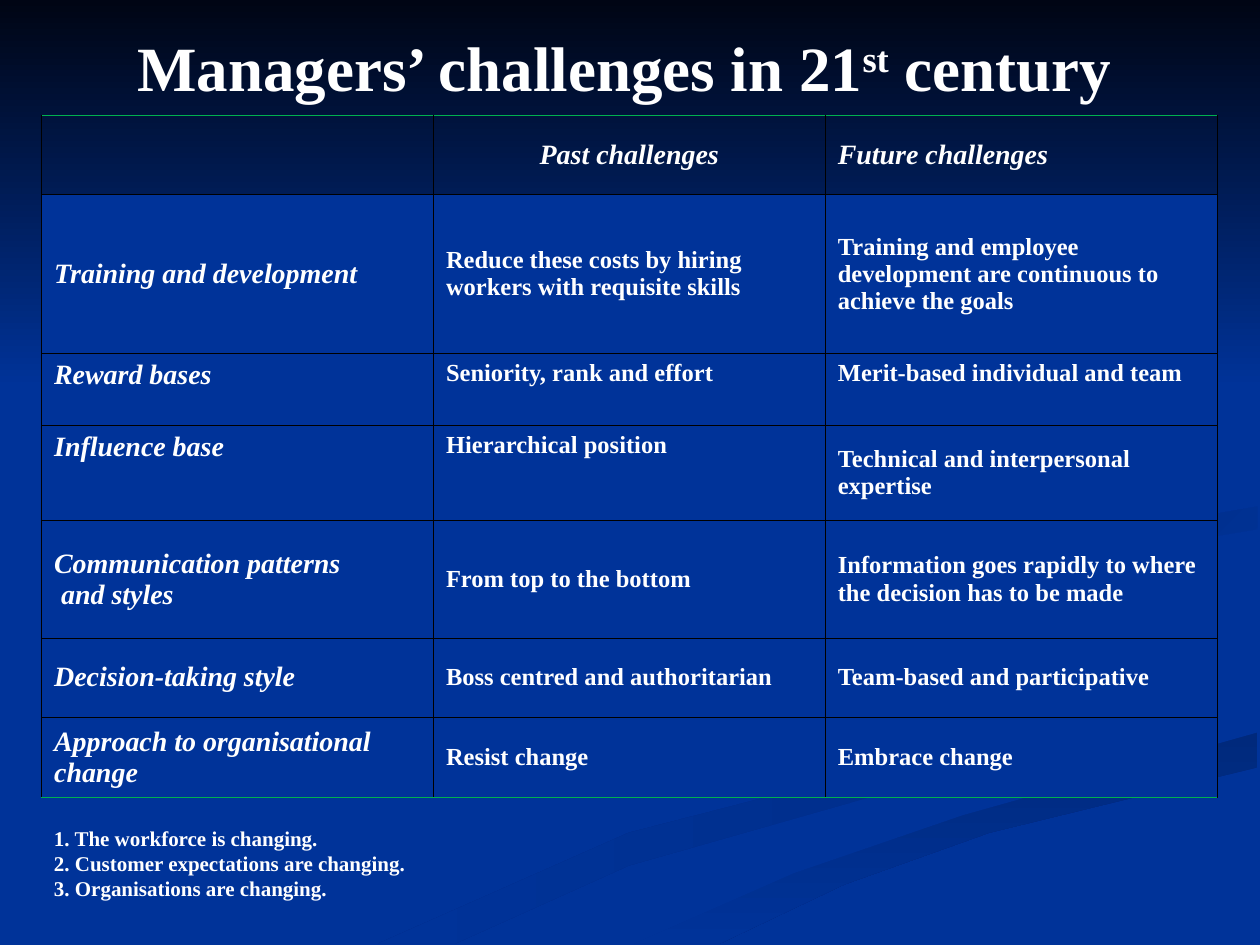
from dataclasses import dataclass

from lxml.etree import SubElement
from pptx import Presentation
from pptx.dml.color import RGBColor
from pptx.enum.shapes import MSO_SHAPE
from pptx.enum.text import MSO_ANCHOR, PP_ALIGN
from pptx.oxml.ns import qn
from pptx.util import Inches, Pt


@dataclass(frozen=True)
class Theme:
    font: str = "Times New Roman"
    blue: str = "003399"
    night: str = "000514"
    shade: str = "002E8A"
    deep: str = "00297C"
    dusk: str = "002B81"
    white: str = "FFFFFF"
    black: str = "000000"
    green: str = "00B04F"
    title: int = 36
    label: int = 16
    body: int = 14
    note: int = 12
    inner: float = 0.34
    outer: float = 0.45


T = Theme()
MARGIN = 0.033
COLUMN = 0.311
ROWS = (0.084, 0.168, 0.076, 0.101, 0.124, 0.084, 0.085)
TOP_CELLS = {(2, 0), (2, 1), (2, 2), (3, 0), (3, 1)}

CELLS = (
    ("", "Past challenges", "Future challenges"),
    ("Training and development",
     "Reduce these costs by hiring workers with requisite skills",
     "Training and employee development are continuous to achieve the goals"),
    ("Reward bases", "Seniority, rank and effort", "Merit-based individual and team"),
    ("Influence base", "Hierarchical position", "Technical and interpersonal expertise"),
    ("Communication patterns\n and styles", "From top to the bottom",
     "Information goes rapidly to where the decision has to be made"),
    ("Decision-taking style", "Boss centred and authoritarian",
     "Team-based and participative"),
    ("Approach to organisational change", "Resist change", "Embrace change"),
)
NOTES = ("1. The workforce is changing.\n2. Customer expectations are changing.\n"
         "3. Organisations are changing.")

RIBBONS = (
    (T.shade, T.blue, 180, (
        (781, 553), (575, 459), (594, 491), (786, 566), (727, 602), (499, 661),
        (300, 749), (361, 749), (499, 687), (756, 614), (800, 581))),
    (T.shade, T.blue, 225, (
        (943, 570), (905, 540), (774, 503), (724, 464), (766, 512), (900, 557),
        (894, 605))),
    (T.deep, T.blue, 90, (
        (503, 749), (571, 749), (670, 702), (785, 661), (998, 609), (998, 581),
        (764, 647), (630, 693))),
    (T.blue, T.blue, 0, (
        (725, 464), (774, 503), (931, 553), (926, 593), (663, 668), (477, 749),
        (503, 749), (630, 693), (764, 647), (999, 581), (999, 538), (781, 463),
        (999, 402), (999, 387), (742, 439))),
    (T.blue, T.dusk, 225, (
        (781, 460), (826, 496), (805, 474), (859, 443), (998, 420), (998, 402),
        (821, 433))),
    (T.blue, T.dusk, 225, (
        (683, 430), (855, 391), (894, 344), (843, 275), (762, 233), (870, 299),
        (882, 354), (625, 426), (577, 462), (622, 500), (593, 470))),
)


def color(value):
    return RGBColor.from_string(value)


def area(prs, left, top, width, height):
    return (int(left * prs.slide_width), int(top * prs.slide_height),
            int(width * prs.slide_width), int(height * prs.slide_height))


def paint(sp, start, end, angle):
    sp.shadow.inherit = False
    sp.line.fill.background()
    if start == end:
        sp.fill.solid()
        sp.fill.fore_color.rgb = color(start)
        return
    sp.fill.gradient()
    sp.fill.gradient_angle = 360 - angle
    for stop, position, value in zip(sp.fill.gradient_stops, (0, 1), (start, end)):
        stop.position = position
        stop.color.rgb = color(value)


def add_ribbon(prs, slide, start, end, angle, points):
    builder = slide.shapes.build_freeform(*points[0], scale=prs.slide_width / 1000)
    builder.add_line_segments(points[1:])
    paint(builder.convert_to_shape(), start, end, angle)


def style(p, size, italic=False, align=PP_ALIGN.LEFT):
    p.alignment = align
    p.font.name = T.font
    p.font.size = Pt(size)
    p.font.bold = True
    p.font.italic = italic
    p.font.color.rgb = color(T.white)


def write(tf, text, size, **options):
    tf.word_wrap = True
    for i, line in enumerate(text.split("\n")):
        p = tf.paragraphs[0] if i == 0 else tf.add_paragraph()
        p.add_run().text = line
        style(p, size, **options)


def add_text(prs, slide, box, text, size, anchor=MSO_ANCHOR.TOP, **options):
    tf = slide.shapes.add_textbox(*area(prs, *box)).text_frame
    tf.vertical_anchor = anchor
    write(tf, text, size, **options)
    return tf


def add_title(prs, slide):
    tf = add_text(prs, slide, (MARGIN, -0.016, 0.925, 0.173),
                  "Managers’ challenges in 21", T.title,
                  MSO_ANCHOR.MIDDLE, align=PP_ALIGN.CENTER)
    p = tf.paragraphs[0]
    r = p.add_run()
    r.text = "st"
    r._r.get_or_add_rPr().set("baseline", "30000")
    p.add_run().text = " century"


def add_border(cell, side, value, width):
    ln = SubElement(cell._tc.get_or_add_tcPr(), qn(f"a:ln{side}"), w=str(Pt(width)))
    fill = SubElement(ln, qn("a:solidFill"))
    SubElement(fill, qn("a:srgbClr"), val=value)


def fill_cell(cell, row, col, text):
    last = len(CELLS) - 1
    for side in "LRTB":
        edge = (side, row) in (("T", 0), ("B", last))
        header = (side, row) in (("B", 0), ("T", 1))
        add_border(cell, side, T.green if edge else T.black,
                   T.outer if edge or header else T.inner)
    if row:
        cell.fill.solid()
        cell.fill.fore_color.rgb = color(T.blue)
    else:
        cell.fill.background()
    top = (row, col) in TOP_CELLS
    cell.vertical_anchor = MSO_ANCHOR.TOP if top else MSO_ANCHOR.MIDDLE
    heading = row == 0 or col == 0
    centred = (row, col) == (0, 1)
    if text:
        write(cell.text_frame, text, T.label if heading else T.body, italic=heading,
              align=PP_ALIGN.CENTER if centred else PP_ALIGN.LEFT)


def add_challenges(prs, slide):
    box = area(prs, MARGIN, 0.122, 3 * COLUMN, sum(ROWS))
    table = slide.shapes.add_table(len(CELLS), 3, *box).table
    table.first_row = table.horz_banding = False
    for column in table.columns:
        column.width = int(COLUMN * prs.slide_width)
    for i, (share, texts) in enumerate(zip(ROWS, CELLS)):
        table.rows[i].height = int(share * prs.slide_height)
        for j, text in enumerate(texts):
            fill_cell(table.cell(i, j), i, j, text)


def main():
    prs = Presentation()
    prs.slide_width, prs.slide_height = Inches(10), Inches(7.5)
    slide = prs.slides.add_slide(prs.slide_layouts[6])
    slide.background.fill.solid()
    slide.background.fill.fore_color.rgb = color(T.blue)
    for ribbon in RIBBONS:
        add_ribbon(prs, slide, *ribbon)
    sky = slide.shapes.add_shape(MSO_SHAPE.RECTANGLE, *area(prs, 0, 0, 1, 0.41))
    paint(sky, T.night, T.blue, 90)
    add_title(prs, slide)
    add_challenges(prs, slide)
    add_text(prs, slide, (MARGIN, 0.867, 0.592, 0.093), NOTES, T.note)
    prs.save("out.pptx")


if __name__ == "__main__":
    main()
